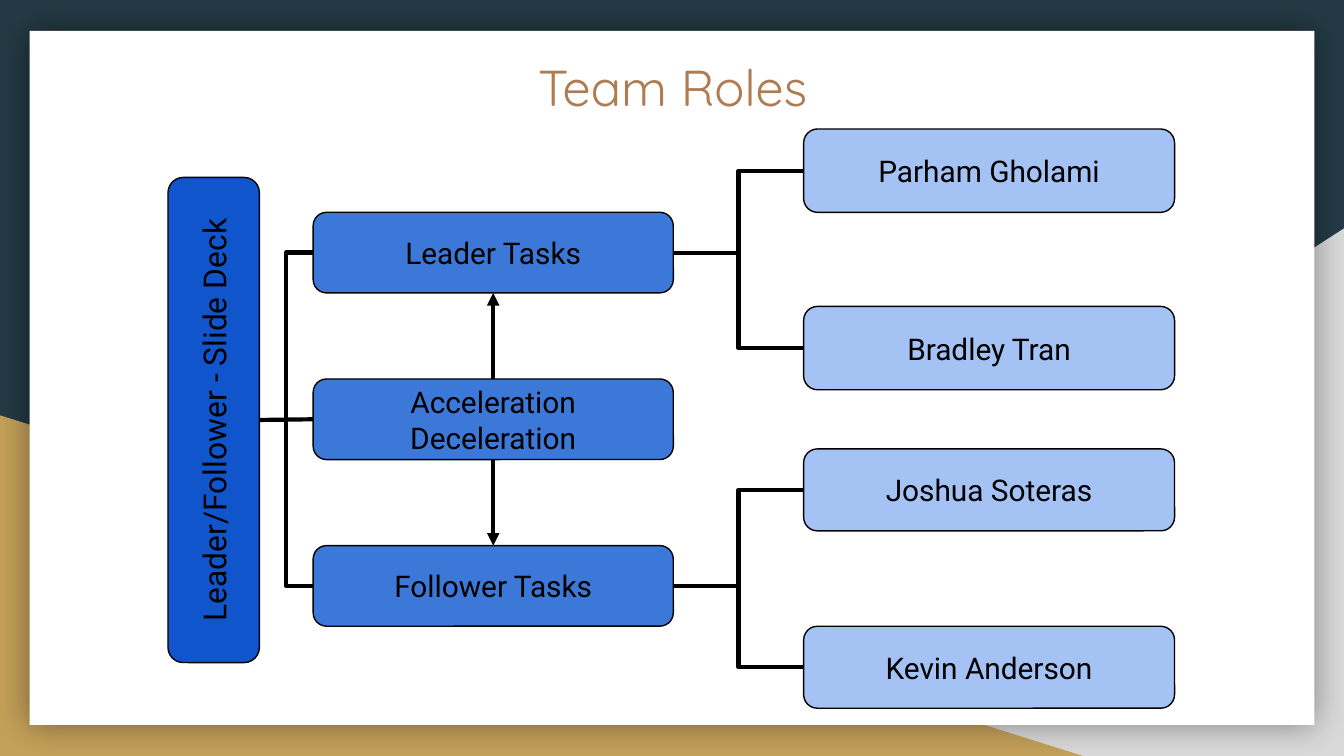
import pptx
import pptx.dml.color
import pptx.enum.shapes
import pptx.enum.text
import pptx.oxml
import pptx.oxml.ns
import pptx.util

Inches = pptx.util.Inches
Pt = pptx.util.Pt
SHAPES = pptx.enum.shapes.MSO_SHAPE
CONNECTORS = pptx.enum.shapes.MSO_CONNECTOR
ANCHORS = pptx.enum.text.MSO_ANCHOR
TOP, LEFT, BOTTOM, RIGHT = range(4)

COLORS = {
    "background": "233A44",
    "grey": "D9D9D9",
    "gold": "C4A15A",
    "panel": "FFFFFF",
    "title": "AF7B51",
    "root": "1155CC",
    "task": "3C78D8",
    "member": "A4C2F4",
    "ink": "000000",
}


def color(name):
    return pptx.dml.color.RGBColor.from_string(COLORS[name])


def drawing_xml(text):
    return pptx.oxml.parse_xml(text.replace(">", f' {pptx.oxml.ns.nsdecls("a")}>', 1))


def add_filled_shape(slide, kind, box, fill):
    shape = slide.shapes.add_shape(kind, *map(Inches, box))
    shape.shadow.inherit = False
    shape.fill.solid()
    shape.fill.fore_color.rgb = color(fill)
    shape.line.fill.background()
    return shape


def write_text(shape, lines, font, size, ink, anchor):
    frame = shape.text_frame
    frame.word_wrap = True
    frame.auto_size = pptx.enum.text.MSO_AUTO_SIZE.NONE
    frame.vertical_anchor = anchor
    frame.margin_left = frame.margin_right = Inches(0.1)
    frame.margin_top = frame.margin_bottom = Inches(0.1)
    for index, line in enumerate(lines):
        paragraph = frame.add_paragraph() if index else frame.paragraphs[0]
        paragraph.alignment = pptx.enum.text.PP_ALIGN.CENTER
        run = paragraph.add_run()
        run.text = line
        run.font.name = font
        run.font.size = Pt(size)
        run.font.color.rgb = color(ink)


def add_card(slide, box, fill, lines, size=16):
    card = add_filled_shape(slide, SHAPES.ROUNDED_RECTANGLE, box, fill)
    card.line.color.rgb = color("ink")
    card.line.width = Pt(0.75)
    write_text(card, lines, "Roboto", size, "ink", ANCHORS.MIDDLE)
    return card


def connect(slide, kind, start, start_site, end, end_site, arrow=False):
    connector = slide.shapes.add_connector(kind, 0, 0, 0, 0)
    connector.begin_connect(start, start_site)
    connector.end_connect(end, end_site)
    connector.line.color.rgb = color("ink")
    connector.line.width = Pt(2.25)
    connector._element.spPr.append(drawing_xml("<a:effectLst></a:effectLst>"))
    if arrow:
        connector.line._get_or_add_ln().append(
            drawing_xml('<a:tailEnd type="triangle"></a:tailEnd>'))
    return connector


def add_backdrop(slide, width, height):
    slide.background.fill.solid()
    slide.background.fill.fore_color.rgb = color("background")
    grey_box = (width - 6.08, 1.7, 6.08, height - 1.7)
    grey = add_filled_shape(slide, SHAPES.RIGHT_TRIANGLE, grey_box, "grey")
    grey._element.spPr.xfrm.set("flipH", "1")
    gold_box = (0, 3.09, 8.06, height - 3.09)
    add_filled_shape(slide, SHAPES.RIGHT_TRIANGLE, gold_box, "gold")
    panel_box = (0.22, 0.23, width - 0.44, height - 0.46)
    panel = add_filled_shape(slide, SHAPES.RECTANGLE, panel_box, "panel")
    effects = panel._element.spPr.find(pptx.oxml.ns.qn("a:effectLst"))
    effects.append(drawing_xml(
        f'<a:outerShdw blurRad="{Pt(18)}" dist="0" dir="0" algn="ctr" rotWithShape="0">'
        f'<a:srgbClr val="{COLORS["ink"]}"><a:alpha val="40000"/></a:srgbClr>'
        '</a:outerShdw>'))


def add_title(slide, box, text):
    title = slide.shapes.title
    title.left, title.top, title.width, title.height = map(Inches, box)
    write_text(title, [text], "Quicksand", 27, "title", ANCHORS.TOP)
    title._element.getparent().append(title._element)


def add_tasks(slide, box):
    left, top, width, height = box
    card_height = 0.6
    step = (height - card_height) / 2
    labels = (["Leader Tasks"], ["Acceleration", "Deceleration"], ["Follower Tasks"])
    leader, speed, follower = [
        add_card(slide, (left, top + row * step, width, card_height), "task", lines)
        for row, lines in enumerate(labels)
    ]
    connect(slide, CONNECTORS.STRAIGHT, speed, TOP, leader, BOTTOM, arrow=True)
    connect(slide, CONNECTORS.STRAIGHT, speed, BOTTOM, follower, TOP, arrow=True)
    return leader, speed, follower


def add_root(slide, box, tasks):
    left, top, width, height = box
    center_x, center_y = left + width / 2, top + height / 2
    turned_box = (center_x - height / 2, center_y - width / 2, height, width)
    root = add_card(slide, turned_box, "root", ["Leader/Follower - Slide Deck"], 17)
    root.rotation = 270
    kinds = (CONNECTORS.ELBOW, CONNECTORS.STRAIGHT, CONNECTORS.ELBOW)
    for task, kind in zip(tasks, kinds):
        connector = connect(slide, kind, root, BOTTOM, task, LEFT)
        connector.begin_x = Inches(left + width)
        connector.begin_y = Inches(center_y)


def add_members(slide, box, task, members):
    left, top, width, height = box
    step = 1.32
    card_height = height - step
    for row, name in enumerate(members):
        card_box = (left, top + row * step, width, card_height)
        card = add_card(slide, card_box, "member", [name])
        connect(slide, CONNECTORS.ELBOW, task, RIGHT, card, LEFT)


def main():
    presentation = pptx.Presentation()
    width = 10
    height = width * 9 / 16
    presentation.slide_width = Inches(width)
    presentation.slide_height = Inches(height)
    slide = presentation.slides.add_slide(presentation.slide_layouts[5])
    add_backdrop(slide, width, height)
    tasks = add_tasks(slide, (2.33, 1.58, 2.68, 3.08))
    add_root(slide, (1.25, 1.32, 0.68, 3.61), tasks)
    leader, _, follower = tasks
    add_members(slide, (5.98, 0.96, 2.76, 1.94), leader, ("Parham Gholami", "Bradley Tran"))
    add_members(slide, (5.98, 3.34, 2.76, 1.93), follower, ("Joshua Soteras", "Kevin Anderson"))
    add_title(slide, (1.26, 0.32, 7.49, 0.63), "Team Roles")
    presentation.save("out.pptx")


if __name__ == "__main__":
    main()
